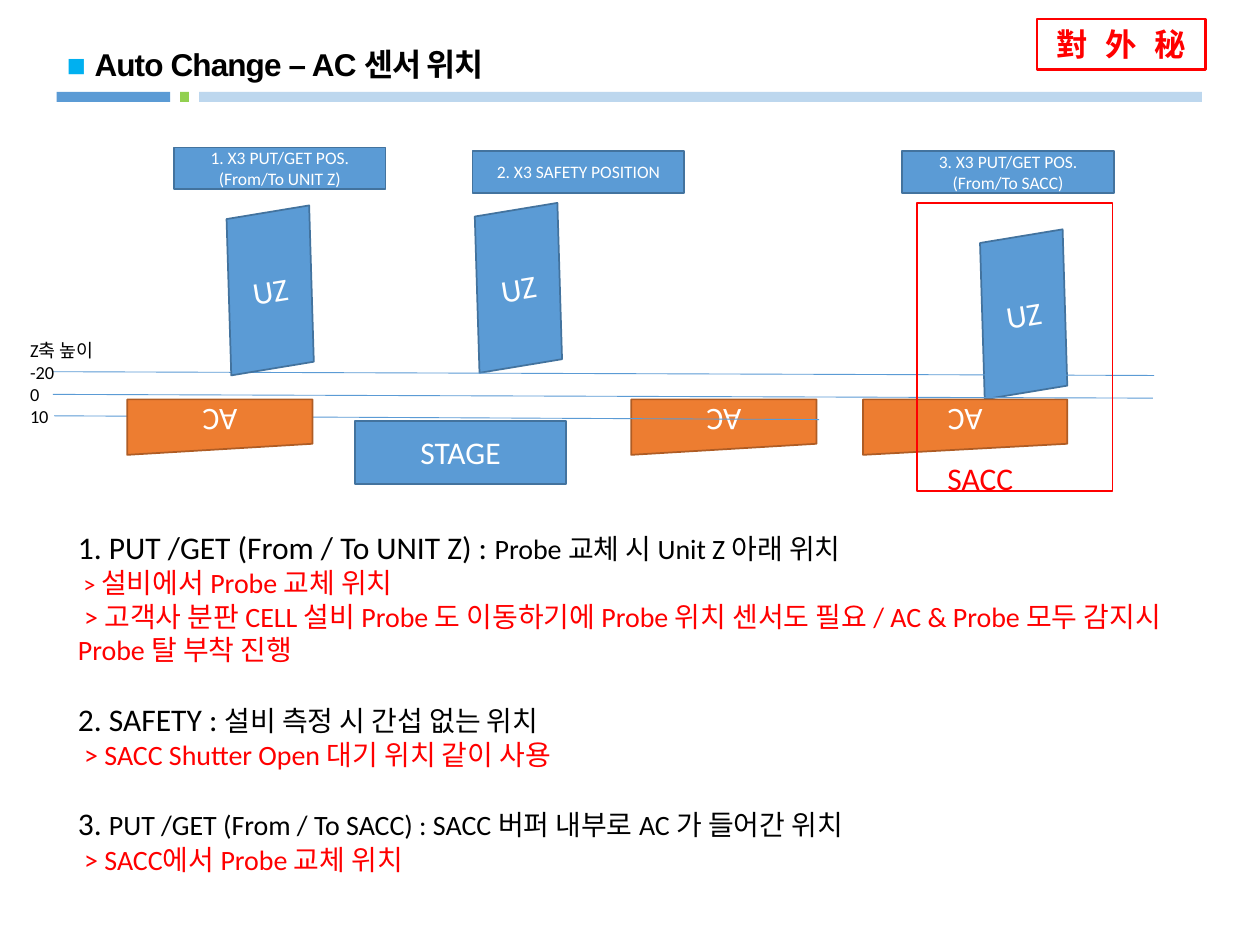
from lxml.etree import SubElement
from pptx import Presentation
from pptx.dml.color import RGBColor
from pptx.enum.shapes import MSO_CONNECTOR, MSO_SHAPE as SHAPE
from pptx.enum.text import MSO_ANCHOR as ANCHOR, MSO_AUTO_SIZE, PP_ALIGN as ALIGN
from pptx.oxml.ns import qn
from pptx.util import Inches, Pt

BLUE = RGBColor(0x5B, 0x9B, 0xD5)
BLUE_EDGE = RGBColor(0x43, 0x73, 0x9E)
PALE = RGBColor(0xBD, 0xD7, 0xEE)
SKY = RGBColor(0x00, 0xB0, 0xF0)
GREEN = RGBColor(0x92, 0xD0, 0x50)
ORANGE = RGBColor(0xED, 0x7D, 0x31)
ORANGE_EDGE = RGBColor(0xAF, 0x5C, 0x24)
RED = RGBColor(0xFF, 0, 0)
BLACK = RGBColor(0, 0, 0)
WHITE = RGBColor(0xFF, 0xFF, 0xFF)
CJK = "Noto Sans CJK KR"

BARS = [(1.58, 7.96, PALE), (0.45, 0.9, BLUE), (1.43, 0.07, GREEN)]
TITLE = [("■ ", dict(color=SKY)), ("Auto Change – AC 센서 위치", dict(spacing=-0.5))]
UNITS = [(1.73, 1.69), (3.7, 1.67), (7.71, 1.88)]
CARRIERS = [(1.01, 1.47), (5.01, 1.47), (6.85, 1.62)]
LABELS = [
    (1.38, 1.17, "1. X3 PUT/GET POS.(From/To UNIT Z)"),
    (3.75, 1.2, "2. X3 SAFETY POSITION"),
    (7.16, 1.2, "3. X3 PUT/GET POS.(From/To SACC)"),
]
LEVELS = [(0.42, 3.13, 9.15), (0.43, 3.3, 6.5), (0.42, 2.95, 9.16)]
LEVEL_DROP = 0.03
SCALE = ["Z축 높이", "-20", "0", "10"]
NOTES = [
    [
        [("1. PUT /GET (From / To UNIT Z) : ", dict(size=18)), ("Probe 교체 시 Unit Z 아래 위치", {})],
        [(" > ", dict(size=14, color=RED)), ("설비에서 Probe 교체 위치", dict(color=RED))],
        [(" > 고객사 분판 CELL 설비 Probe 도 이동하기에 Probe 위치 센서도 필요 / AC & Probe 모두 "
          "감지시 Probe 탈 부착 진행", dict(color=RED))],
    ],
    [
        [("2. SAFETY : ", dict(size=18)), ("설비 측정 시 간섭 없는 위치", {})],
        [(" > SACC Shutter Open 대기 위치 같이 사용", dict(color=RED))],
    ],
    [
        [("3. ", dict(size=18)), ("PUT /GET (From / To SACC) : SACC 버퍼 내부로 AC 가 들어간 위치", {})],
        [(" > SACC에서 Probe 교체 위치", dict(color=RED))],
    ],
]


def add_run(p, text, size=18, color=BLACK, font="Calibri", bold=False, spacing=None):
    r = p.add_run()
    r.text = text
    r.font.size, r.font.bold, r.font.name = Pt(size), bold, font
    r.font.color.rgb = color
    rPr = r.font._element
    SubElement(rPr, qn("a:ea")).set("typeface", CJK)
    if spacing is not None:
        rPr.set("spc", str(int(spacing * 100)))


def add_box(s, kind, at, fill=None, edge=None, width=1, rotation=0, text=None, **fmt):
    sp = s.shapes.add_shape(kind, *map(Inches, at))
    sp.shadow.inherit = False
    sp.rotation = rotation
    if fill is None:
        sp.fill.background()
    else:
        sp.fill.solid()
        sp.fill.fore_color.rgb = fill
    if edge is None:
        sp.line.fill.background()
    else:
        sp.line.color.rgb, sp.line.width = edge, Pt(width)
    if text:
        tf = sp.text_frame
        tf.word_wrap, tf.vertical_anchor = True, ANCHOR.MIDDLE
        tf.paragraphs[0].alignment = ALIGN.CENTER
        add_run(tf.paragraphs[0], text, **{"color": WHITE, **fmt})


def add_text(s, at, groups, gap=0, **fmt):
    tf = s.shapes.add_textbox(*map(Inches, at)).text_frame
    tf.word_wrap = True
    p = tf.paragraphs[0]
    for g, lines in enumerate(groups):
        for i, runs in enumerate(lines):
            if g or i:
                p = tf.add_paragraph()
            if g and not i:
                p.space_before = Pt(gap)
            for text, own in runs:
                add_run(p, text, **{**fmt, **own})


def add_title(s):
    sp = s.shapes.title
    sp.left, sp.top, sp.width, sp.height = map(Inches, (0.43, 0.28, 7.17, 0.43))
    tf = sp.text_frame
    tf.auto_size, tf.vertical_anchor = MSO_AUTO_SIZE.NONE, ANCHOR.TOP
    p = tf.paragraphs[0]
    p.alignment, p.line_spacing = ALIGN.LEFT, 1.1
    for text, own in TITLE:
        add_run(p, text, **{"font": "Arial", "bold": True, **own})


def add_level(s, left, top, right):
    line = s.shapes.add_connector(MSO_CONNECTOR.STRAIGHT, *map(Inches, (left, top, right, top + LEVEL_DROP)))
    line.line.color.rgb, line.line.width = BLUE, Pt(0.5)
    SubElement(line._element.spPr, qn("a:effectLst"))


def add_unit(s, left, top):
    add_box(s, SHAPE.FLOWCHART_DATA, (left, top, 0.83, 1.23), BLUE, BLUE_EDGE, rotation=350.6, text="UZ")


def add_carrier(s, left, width):
    add_box(s, SHAPE.FLOWCHART_MANUAL_INPUT, (left, 3.17, width, 0.44), ORANGE, ORANGE_EDGE,
            rotation=180, text="AC")


def main():
    """Build the sensor position slide and save it."""
    prs = Presentation()
    prs.slide_width, prs.slide_height = Inches(10), Inches(7.5)
    s = prs.slides.add_slide(prs.slide_layouts[5])
    for left, width, color in BARS:
        add_box(s, SHAPE.RECTANGLE, (left, 0.73, width, 0.08), color)
    add_box(s, SHAPE.RECTANGLE, (8.23, 0.15, 1.34, 0.4), edge=RED, width=1.5,
            text="對 外 秘", color=RED, font=CJK, bold=True, spacing=3)
    add_title(s)
    for unit, carrier in zip(UNITS[1:], CARRIERS[1:]):
        add_unit(s, *unit)
        add_carrier(s, *carrier)
    for level in LEVELS:
        add_level(s, *level)
    for left, top, text in LABELS:
        add_box(s, SHAPE.RECTANGLE, (left, top, 1.68, 0.33), BLUE, BLUE_EDGE, text=text, size=10)
    add_carrier(s, *CARRIERS[0])
    add_text(s, (0.52, 4.14, 9.01, 2.89), NOTES, gap=19, size=16)
    add_text(s, (0.14, 2.64, 0.83, 0.81), [[[(text, {})] for text in SCALE]], size=10.5)
    add_unit(s, *UNITS[0])
    add_box(s, SHAPE.RECTANGLE, (7.28, 1.61, 1.55, 2.29), edge=RED)
    add_text(s, (7.42, 3.59, 1.21, 0.4), [[[("SACC", {})]]], color=RED)
    add_box(s, SHAPE.RECTANGLE, (2.82, 3.34, 1.67, 0.5), BLUE, BLUE_EDGE, text="STAGE")
    prs.save("out.pptx")


if __name__ == "__main__":
    main()
